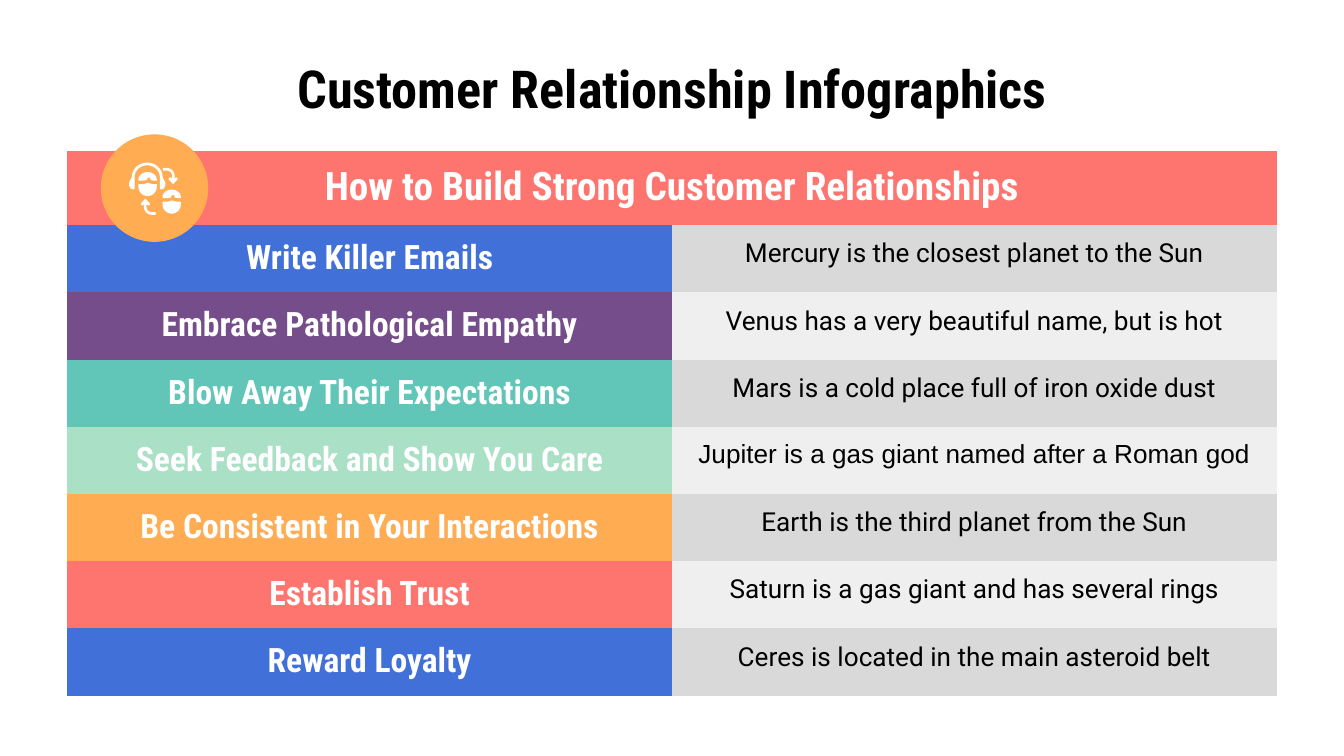
import math
from dataclasses import dataclass

from pptx import Presentation
from pptx import util as u
from pptx.dml.color import RGBColor
from pptx.enum import shapes, text


@dataclass(frozen=True)
class Theme:
    heading: str = "Roboto Condensed"
    body: str = "Roboto"
    fallback: str = "Arial"
    black: str = "000000"
    white: str = "FFFFFF"
    coral: str = "FE7570"
    blue: str = "4170D8"
    purple: str = "754D8A"
    teal: str = "61C5B8"
    mint: str = "AAE0C5"
    orange: str = "FFAC53"
    greys: tuple = ("D9D9D9", "EFEFEF")
    title_size: int = 28
    header_size: int = 21
    label_size: int = 18
    body_size: int = 14
    inset: float = 7.2


THEME = Theme()
NO_GRID_STYLE = "{2D5ABB26-0587-4C30-8999-92F81FD0307C}"

ROWS = [
    ("Write Killer Emails", THEME.blue, "Mercury is the closest planet to the Sun", THEME.body),
    ("Embrace Pathological Empathy", THEME.purple, "Venus has a very beautiful name, but is hot", THEME.body),
    ("Blow Away Their Expectations", THEME.teal, "Mars is a cold place full of iron oxide dust", THEME.body),
    ("Seek Feedback and Show You Care", THEME.mint, "Jupiter is a gas giant named after a Roman god", THEME.fallback),
    ("Be Consistent in Your Interactions", THEME.orange, "Earth is the third planet from the Sun", THEME.body),
    ("Establish Trust", THEME.coral, "Saturn is a gas giant and has several rings", THEME.body),
    ("Reward Loyalty", THEME.blue, "Ceres is located in the main asteroid belt", THEME.body),
]


def arc(x, y, rx, ry, start, end, steps=16):
    """Points on an ellipse between two angles, in degrees clockwise from the right."""
    angles = [math.radians(start + (end - start) * i / steps) for i in range(steps + 1)]
    return [(x + rx * math.cos(a), y + ry * math.sin(a)) for a in angles]


CAP = [*arc(4.9, 3.9, 4.9, 3.9, 180, 360), (9.8, 4.6), (8, 4.6), (6.6, 4.3),
       *arc(5.6, 3.7, 0.8, 0.8, 0, -180), (4.3, 4.3), (2.9, 4.6), (0, 4.6)]
FACE = [(0, 6.5), (2.9, 6.5), (4.9, 5.8), (7.5, 6.5), (9.8, 6.5),
        *arc(4.9, 8, 4.9, 4.9, 0, 180)]
EAR_CUP = [(8.3, 0), (9.7, 2.7), (9.7, 4.4), (9, 6), (7.6, 6.5), (6.8, 6.3)]
HEADSET = [*arc(0, 0, 8.3, 7.9, 180, 360), *EAR_CUP, *arc(0, 0, 6.8, 6.4, 360, 180),
           *[(-x, y) for x, y in reversed(EAR_CUP)]]
ARROW = [(-3.6, -4.3), *arc(-1.8, 0, 4.3, 4.3, -90, 0), (2.5, 1.2), (3.3, 0.7),
         (4.1, 1.2), (3.9, 2.1), (1.7, 4.3), (-0.6, 2.1), (-0.7, 1.1), (0.1, 0.7),
         (1.1, 1.2), *arc(-1.8, 0, 2.9, 2.9, 0, -90), (-3.6, -2.9), (-4.1, -3.5)]


class SlideBuilder:
    def __init__(self, page, theme):
        self.page = page
        self.theme = theme

    def set_text(self, frame, words, font, size, color, bold):
        frame.text = words
        para = frame.paragraphs[0]
        para.alignment = text.PP_ALIGN.CENTER
        span = para.runs[0].font
        span.name, span.size, span.bold = font, u.Pt(size), bold
        span.color.rgb = RGBColor.from_string(color)

    def inset(self, holder):
        holder.margin_left = holder.margin_right = u.Pt(self.theme.inset)
        holder.margin_top = holder.margin_bottom = u.Pt(self.theme.inset)

    def paint(self, shape, color):
        shape.shadow.inherit = False
        shape.fill.solid()
        shape.fill.fore_color.rgb = RGBColor.from_string(color)
        shape.line.fill.background()

    def title(self, words, left, top, width, height):
        box = self.page.shapes.add_textbox(*map(u.Pt, (left, top, width, height)))
        frame = box.text_frame
        frame.word_wrap = True
        frame.vertical_anchor = text.MSO_ANCHOR.MIDDLE
        self.inset(frame)
        self.set_text(frame, words, self.theme.heading, self.theme.title_size,
                      self.theme.black, True)

    def cell(self, cell, words, fill, font, size, color, bold):
        self.inset(cell)
        cell.fill.solid()
        cell.fill.fore_color.rgb = RGBColor.from_string(fill)
        self.set_text(cell.text_frame, words, font, size, color, bold)

    def table(self, header, rows, left, top, width, header_height, row_height):
        theme = self.theme
        height = header_height + row_height * len(rows)
        frame = self.page.shapes.add_table(
            len(rows) + 1, 2, *map(u.Pt, (left, top, width, height)))
        table = frame.table
        table.first_row = table.horz_banding = False
        table._tbl.tblPr[0].text = NO_GRID_STYLE
        for row in table.rows:
            row.height = u.Pt(row_height)
        table.rows[0].height = u.Pt(header_height)
        table.cell(0, 0).merge(table.cell(0, 1))
        self.cell(table.cell(0, 0), header, theme.coral, theme.heading,
                  theme.header_size, theme.white, True)
        for i, (label, color, detail, font) in enumerate(rows):
            self.cell(table.cell(i + 1, 0), label, color, theme.heading,
                      theme.label_size, theme.white, True)
            self.cell(table.cell(i + 1, 1), detail, theme.greys[i % 2], font,
                      theme.body_size, theme.black, False)

    def circle(self, left, top, size, color):
        shape = self.page.shapes.add_shape(
            shapes.MSO_SHAPE.OVAL, *map(u.Pt, (left, top, size, size)))
        self.paint(shape, color)

    def outline(self, points, x, y, turn=1):
        """Draw a white outline around an origin; turn=-1 rotates it half a circle."""
        placed = [(u.Pt(x + turn * px), u.Pt(y + turn * py)) for px, py in points]
        builder = self.page.shapes.build_freeform(*placed[0])
        builder.add_line_segments(placed[1:], close=True)
        self.paint(builder.convert_to_shape(), self.theme.white)

    def service_icon(self):
        self.outline(ARROW, 91.1, 94.3)
        self.outline(ARROW, 79.6, 110.8, turn=-1)
        self.outline(HEADSET, 78.9, 95)
        for x, y in ((74.2, 92.2), (87.1, 101.6)):
            self.outline(CAP, x, y)
            self.outline(FACE, x, y)


def main():
    deck = Presentation()
    deck.slide_width, deck.slide_height = u.Pt(720), u.Pt(405)
    page = deck.slides.add_slide(deck.slide_layouts[6])
    builder = SlideBuilder(page, THEME)
    builder.table("How to Build Strong Customer Relationships", ROWS,
                  left=36, top=81, width=648, header_height=39.6, row_height=36)
    builder.circle(54, 72, 57.6, THEME.orange)
    builder.title("Customer Relationship Infographics", 36, 32.4, 648, 29.5)
    builder.service_icon()
    deck.save("out.pptx")


if __name__ == "__main__":
    main()
